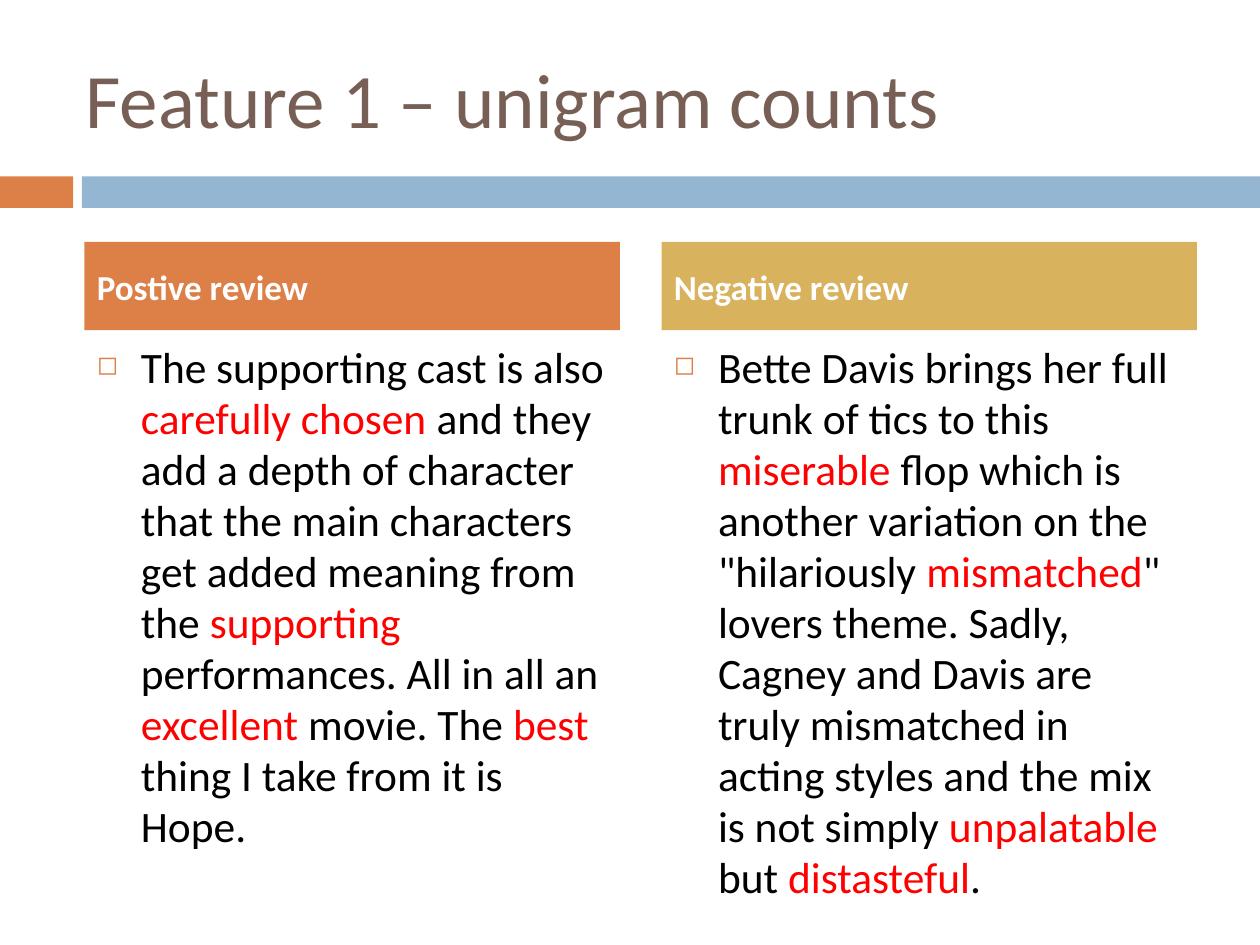
from lxml.etree import SubElement
from pptx import Presentation
from pptx.dml.color import RGBColor
from pptx.enum.shapes import MSO_SHAPE
from pptx.enum.text import MSO_ANCHOR, PP_ALIGN
from pptx.oxml.ns import qn
from pptx.util import Emu, Inches, Pt

FONT = "Calibri"
ORANGE, BLUE, GOLD, BROWN = "DD8047", "94B6D2", "D8B25C", "775F55"
BLACK, RED, WHITE = "000000", "FF0000", "FFFFFF"

TITLE = "Feature 1 – unigram counts"
# Words between asterisks are the highlighted unigrams.
REVIEWS = [
    ("Postive review", ORANGE,
     "The supporting cast is also *carefully chosen* and they add a depth of "
     "character that the main characters get added meaning from the *supporting* "
     "performances. All in all an *excellent* movie. The *best* thing I take "
     "from it is Hope."),
    ("Negative review", GOLD,
     "Bette Davis brings her full trunk of tics to this *miserable *flop which is "
     "another variation on the \"hilariously *mismatched*\" lovers theme. Sadly, "
     "Cagney and Davis are truly mismatched in acting styles and the mix is not "
     "simply *unpalatable* but *distasteful*."),
]

BAND_TOP, BAND_HEIGHT = 1.4, 0.25
BANDS = [(0, 0.58, ORANGE), (0.65, 9.35, BLUE)]
COLUMN_LEFT, COLUMN_WIDTH, COLUMN_STEP = 0.67, 4.25, 4.58
HEADER_TOP, HEADER_HEIGHT = 1.92, 0.7
REVIEW_TOP, REVIEW_HEIGHT = 2.67, 3.92


def color(value):
    return RGBColor.from_string(value)


def set_font(font, size, value, bold=False):
    font.name, font.size, font.bold = FONT, Pt(size), bold
    font.color.rgb = color(value)


def add_bar(page, left, top, width, height, fill):
    bar = page.shapes.add_shape(
        MSO_SHAPE.RECTANGLE, *map(Inches, (left, top, width, height)))
    bar.shadow.inherit = False
    bar.fill.solid()
    bar.fill.fore_color.rgb = color(fill)
    bar.line.fill.background()
    return bar


def add_bullet(para):
    """Give the paragraph a hanging indent and a small orange square."""
    properties = para._p.get_or_add_pPr()
    properties.set("marL", str(Inches(0.35)))
    properties.set("indent", str(-Inches(0.35)))
    bullet_color = SubElement(properties, qn("a:buClr"))
    SubElement(bullet_color, qn("a:srgbClr"), val=ORANGE)
    SubElement(properties, qn("a:buSzPct"), val="60000")
    SubElement(properties, qn("a:buChar"), char="◻")


def add_header(page, left, text, fill):
    header = add_bar(page, left, HEADER_TOP, COLUMN_WIDTH, HEADER_HEIGHT, fill)
    header.text_frame.vertical_anchor = MSO_ANCHOR.MIDDLE
    para = header.text_frame.paragraphs[0]
    para.text, para.alignment, para.space_before = text, PP_ALIGN.LEFT, Pt(7)
    set_font(para.font, 20, WHITE, bold=True)


def add_review(page, left, text):
    box = page.shapes.add_textbox(
        *map(Inches, (left, REVIEW_TOP, COLUMN_WIDTH, REVIEW_HEIGHT)))
    box.text_frame.word_wrap = True
    para = box.text_frame.paragraphs[0]
    para.space_before, para.line_spacing = Pt(7), 0.98
    add_bullet(para)
    set_font(para.font, 24.8, BLACK)
    for index, part in enumerate(text.split("*")):
        span = para.add_run()
        span.text = part
        set_font(span.font, 24.8, RED if index % 2 else BLACK)


def add_title(page):
    title = page.shapes.title
    title.left, title.top, title.width, title.height = map(
        Inches, (0.58, 0.3, 8.92, 0.95))
    title.text_frame.vertical_anchor = MSO_ANCHOR.MIDDLE
    para = title.text_frame.paragraphs[0]
    para.text, para.alignment = TITLE, PP_ALIGN.LEFT
    set_font(para.font, 44, BROWN)


def main():
    deck = Presentation()
    deck.slide_width, deck.slide_height = Inches(10), Inches(7.5)
    page = deck.slides.add_slide(deck.slide_layouts[5])
    add_title(page)
    for left, width, fill in BANDS:
        add_bar(page, left, BAND_TOP, width, BAND_HEIGHT, fill)
    for column, (heading, fill, text) in enumerate(REVIEWS):
        left = COLUMN_LEFT + column * COLUMN_STEP
        add_review(page, left, text)
        add_header(page, left, heading, fill)
    deck.save("out.pptx")


if __name__ == "__main__":
    main()
